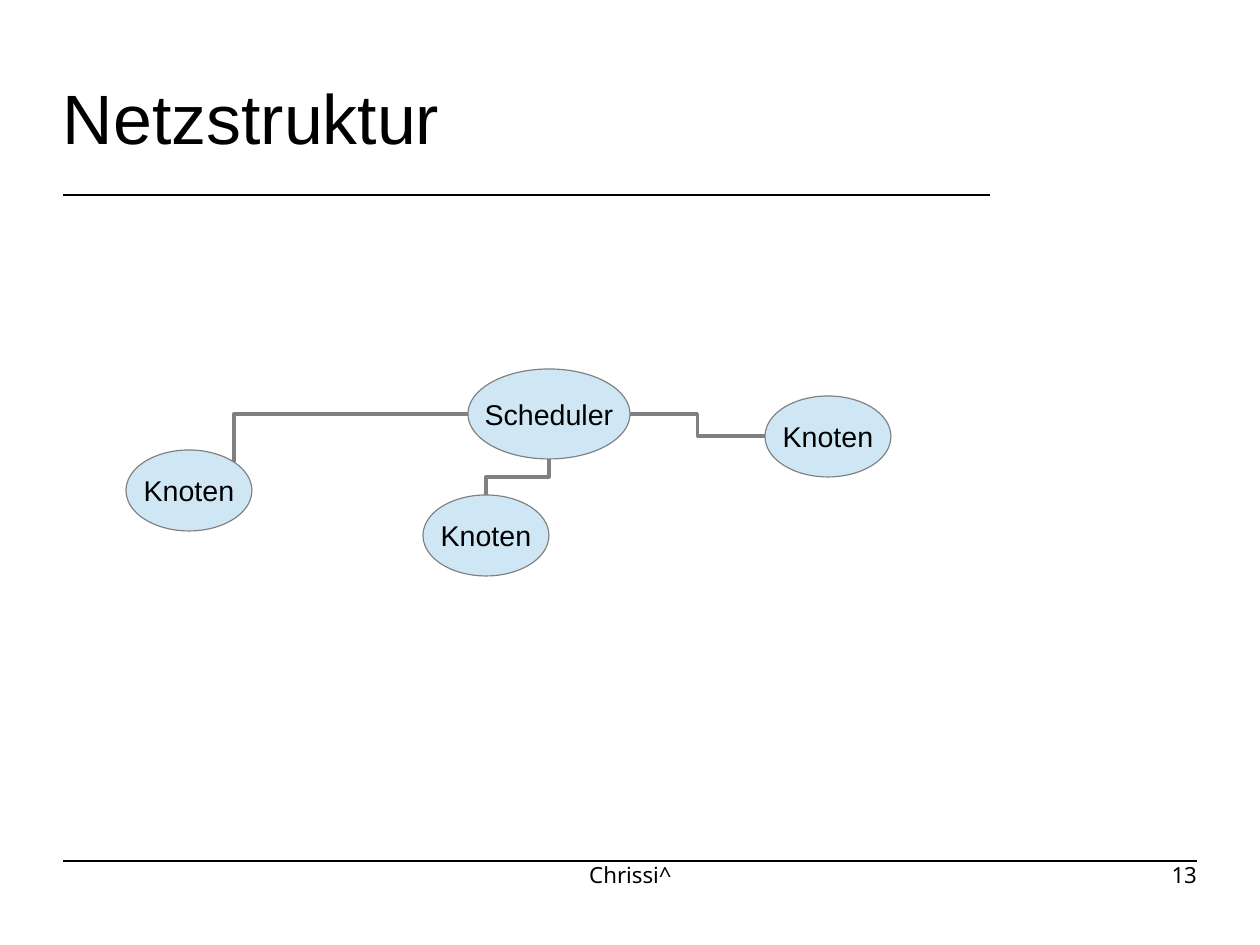
from lxml import etree
from pptx import Presentation
from pptx import util as u
from pptx.dml.color import RGBColor
from pptx.enum import shapes, text
from pptx.oxml.ns import qn

PX = 8000  # EMU per px
BLACK = RGBColor(0x00, 0x00, 0x00)
GREY = RGBColor(0x80, 0x80, 0x80)
LIGHT_BLUE = RGBColor(0xCF, 0xE7, 0xF5)
ALIGN = text.PP_ALIGN


def write(shape, words, size, font, align, frame_format):
    frame = shape.text_frame
    for name, value in frame_format.items():
        setattr(frame, name, value)
    paragraph = frame.paragraphs[0]
    paragraph.text = words
    paragraph.alignment = align
    for name, value in {"size": u.Pt(size), "name": font}.items():
        setattr(paragraph.font, name, value)
    paragraph.font.color.rgb = BLACK


def connect(kind, begin, end, color, width):
    points = [int(value * PX) for value in (*begin, *end)]
    connector = slide.shapes.add_connector(kind, *points)
    connector.line.color.rgb = color
    connector.line.width = u.Pt(width)
    etree.SubElement(connector._element.spPr, qn("a:effectLst"))
    return connector


presentation = Presentation()
presentation.slide_width = 1260 * PX
presentation.slide_height = 945 * PX
slide = presentation.slides.add_slide(presentation.slide_layouts[5])

NO_MARGINS = dict.fromkeys(
    ("margin_left", "margin_top", "margin_right", "margin_bottom"), 0)

# Rules below the title and above the footer
for right, y in ((990, 195), (1197, 861)):
    connect(shapes.MSO_CONNECTOR.STRAIGHT, (63, y), (right, y), BLACK, 1.42)

# Title
title = slide.shapes.title
for name, value in {"left": 63, "top": 38, "width": 927, "height": 158}.items():
    setattr(title, name, value * PX)
write(title, "Netzstruktur", 44, "Arial", ALIGN.LEFT,
      {**NO_MARGINS, "word_wrap": True, "auto_size": text.MSO_AUTO_SIZE.NONE,
       "vertical_anchor": text.MSO_ANCHOR.MIDDLE})

# Scheduler and its nodes
for label, *box in (
    ("Scheduler", 468, 369, 162, 90),
    ("Knoten", 126, 450, 126, 81),
    ("Knoten", 765, 396, 126, 81),
    ("Knoten", 423, 495, 126, 81),
):
    ellipse = slide.shapes.add_shape(
        shapes.MSO_SHAPE.OVAL, *(value * PX for value in box))
    ellipse.shadow.inherit = False
    ellipse.fill.solid()
    ellipse.fill.fore_color.rgb = LIGHT_BLUE
    ellipse.line.color.rgb = GREY
    ellipse.line.width = 0
    write(ellipse, label, 18, "Arial", ALIGN.CENTER,
          {"word_wrap": False, "vertical_anchor": text.MSO_ANCHOR.MIDDLE})

# Links from node to scheduler; upright ones are turned by 90 degrees
for preset, upright, (x1, y1), (x2, y2) in (
    ("bentConnector2", True, (234, 462), (468, 414)),
    ("bentConnector3", True, (486, 495), (549, 459)),
    ("bentConnector3", False, (765, 436), (630, 414)),
):
    half_width, half_height = abs(x2 - x1) / 2, abs(y2 - y1) / 2
    if upright:
        half_width, half_height = half_height, half_width
    x, y = (x1 + x2) / 2, (y1 + y2) / 2
    link = connect(shapes.MSO_CONNECTOR.ELBOW, (x + half_width, y + half_height),
                   (x - half_width, y - half_height), GREY, 0)
    properties = link._element.spPr
    properties.find(qn("a:prstGeom")).set("prst", preset)
    if upright:
        properties.find(qn("a:xfrm")).set("rot", str(90 * 60000))

# Footer
for words, left, width, align in (
    ("Chrissi^", 431, 399, ALIGN.CENTER),
    ("13", 903, 294, ALIGN.RIGHT),
):
    footer = slide.shapes.add_textbox(left * PX, 861 * PX, width * PX, 65 * PX)
    write(footer, words, 14, "Noto Sans", align, {**NO_MARGINS, "word_wrap": True})

presentation.save("out.pptx")
